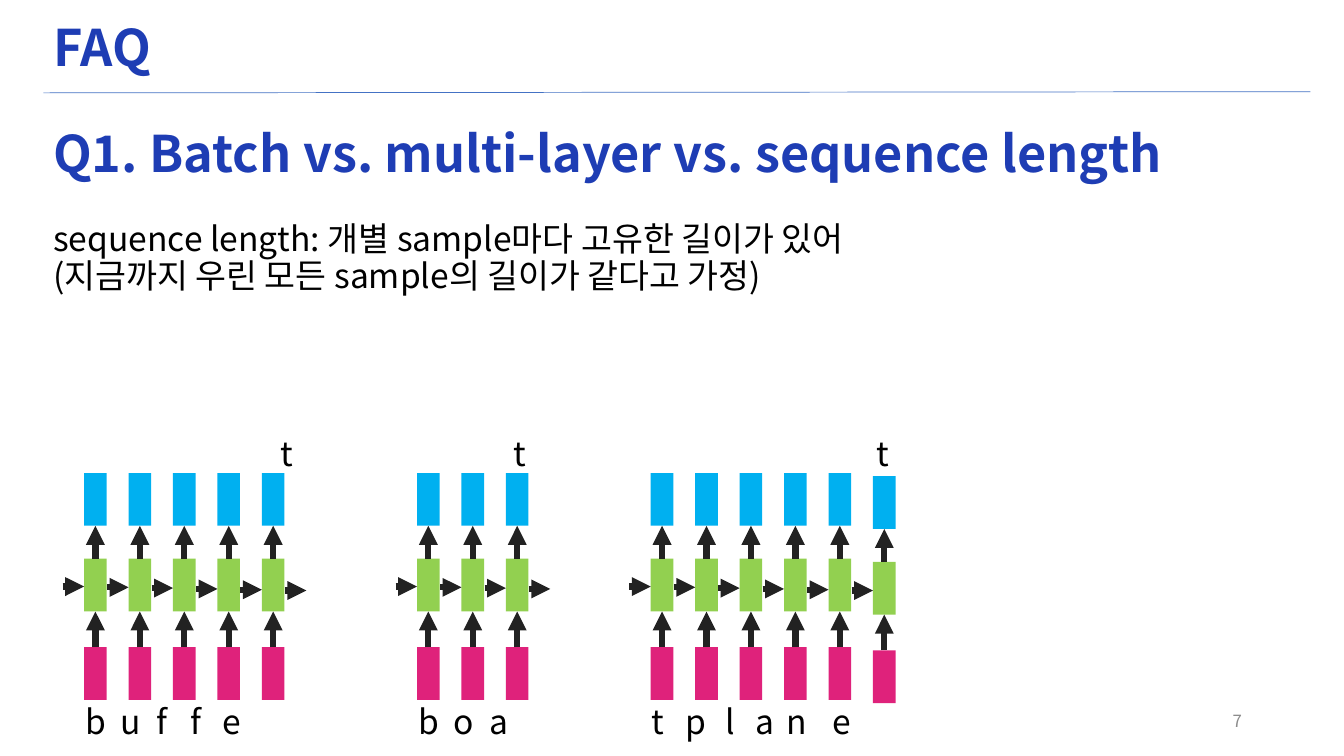
from lxml.etree import SubElement as Sub
from pptx import Presentation
from pptx.dml.color import RGBColor as RGB
from pptx.enum.shapes import MSO_CONNECTOR as Conn, MSO_SHAPE as Shape
from pptx.enum.text import MSO_ANCHOR as Anchor, PP_ALIGN as Align
from pptx.oxml.ns import qn
from pptx.util import Cm, Pt

FONT = "Noto Sans CJK KR"
INK = {"head": "1E3DB4", "rule": "4472C4", "text": "000000", "page": "8C8C8C",
       "arrow": "222222", "in": "DF227B", "cell": "92D050", "out": "00B0F0"}

# Network sizes in cm
STEP, WIDE, HIGH = 1.12, 0.57, 1.33
ROWS = {"in": 4.39, "cell": 2.16, "out": 0}
TOP = 11.92

# Letters, left edge, tab stops, left of "t", arrow count, drop of last column
WORDS = [
    ("buffe", 2.12, [0.9, 1.8, 2.65, 3.45], 4.7, 6, 0),
    ("boa", 10.51, [0.9, 1.8], 2.18, 4, 0),
    ("tplane", 16.4, [0.85, 1.85, 2.6, 3.4, 4.55], 5.44, 6, 0.08),
]


def add_text(slide, box, lines, size, ink="text", bold=False,
             align=Align.LEFT, space=0.9, tabs=()):
    frame = slide.shapes.add_textbox(*map(Cm, box)).text_frame
    frame.word_wrap = True
    frame.vertical_anchor = Anchor.MIDDLE
    frame.text = "\n".join(lines)
    for para in frame.paragraphs:
        para.alignment = align
        para.line_spacing = space
        font = para.font
        font.name, font.size, font.bold = FONT, Pt(size), bold
        font.color.rgb = RGB.from_string(INK[ink])
        base = para._p.pPr.find(qn("a:defRPr"))
        Sub(base, qn("a:ea"), typeface=FONT)
        if tabs:
            stops = Sub(para._p.pPr, qn("a:tabLst"))
            for stop in tabs:
                Sub(stops, qn("a:tab"), pos=str(Cm(stop)), algn="l")
            base.addprevious(stops)


def add_line(slide, ends, ink, width, head=False):
    line = slide.shapes.add_connector(Conn.STRAIGHT, *map(Cm, ends))
    line.line.color.rgb = RGB.from_string(INK[ink])
    line.line.width = Pt(width)
    if head:
        Sub(line.line._get_or_add_ln(), qn("a:tailEnd"), type="triangle")
    Sub(line._element.spPr, qn("a:effectLst"))
    return line


def add_block(slide, left, top, ink):
    block = slide.shapes.add_shape(
        Shape.RECTANGLE, Cm(left), Cm(top), Cm(WIDE), Cm(HIGH))
    block.shadow.inherit = False
    block.fill.solid()
    block.fill.fore_color.rgb = RGB.from_string(INK[ink])
    block.line.fill.background()
    return block


def add_column(slide, left, top):
    blocks = [add_block(slide, left, top + y, ink) for ink, y in ROWS.items()]
    for low, high in zip(blocks, blocks[1:]):
        link = add_line(slide, (0, 0, 0, 0), "arrow", 4.5, head=True)
        link.begin_connect(low, 0)
        link.end_connect(high, 2)


def add_net(slide, left, top, word, tabs, mark, count, drop):
    # Columns, one per letter
    last = len(word) - 1
    for i in range(len(word)):
        add_column(slide, left + i * STEP, top + (drop if i == last else 0))
    # Arrows along the sequence, each a little lower
    for i in range(count):
        x, y = left - 0.54 + i * STEP, top + 2.86 + i * 0.02
        add_line(slide, (x, y, x + 0.54, y), "arrow", 4.5, head=True)
    # Letters below and target above
    add_text(slide, (left - 0.22, top + 5.28, 6.96, 2.06),
             ["\t".join(word)], 24, tabs=tabs)
    add_text(slide, (left + mark, top - 1.48, 0.94, 2.06), ["t"], 24)


def add_header(slide, left, top, wide):
    add_text(slide, (left, top, wide, 2.06), ["FAQ"], 36, "head", True)
    add_line(slide, (left, top + 2.11, left + 31.93, top + 2.08), "rule", 0.5)


def add_body(slide, left, top, wide):
    add_text(slide, (left, top, wide, 2.06),
             ["Q1. Batch vs. multi-layer vs. sequence length"], 36, "head", True)
    add_text(slide, (left, top + 2.18, wide, 2.9),
             ["sequence length: 개별 sample마다 고유한 길이가 있어",
              "(지금까지 우린 모든 sample의 길이가 같다고 가정)"], 24)


def main():
    deck = Presentation()
    deck.slide_width, deck.slide_height = Cm(33.87), Cm(19.05)
    slide = deck.slides.add_slide(deck.slide_layouts[6])
    add_header(slide, 1.09, 0.23, 29.21)
    add_body(slide, 1.09, 2.9, 29.21)
    for word, left, tabs, mark, count, drop in WORDS:
        add_net(slide, left, TOP, word, tabs, mark, count, drop)
    # Page number
    add_text(slide, (23.93, 17.65, 7.62, 1.02), ["7"], 12, "page",
             align=Align.RIGHT, space=1.0)
    deck.save("out.pptx")


if __name__ == "__main__":
    main()
